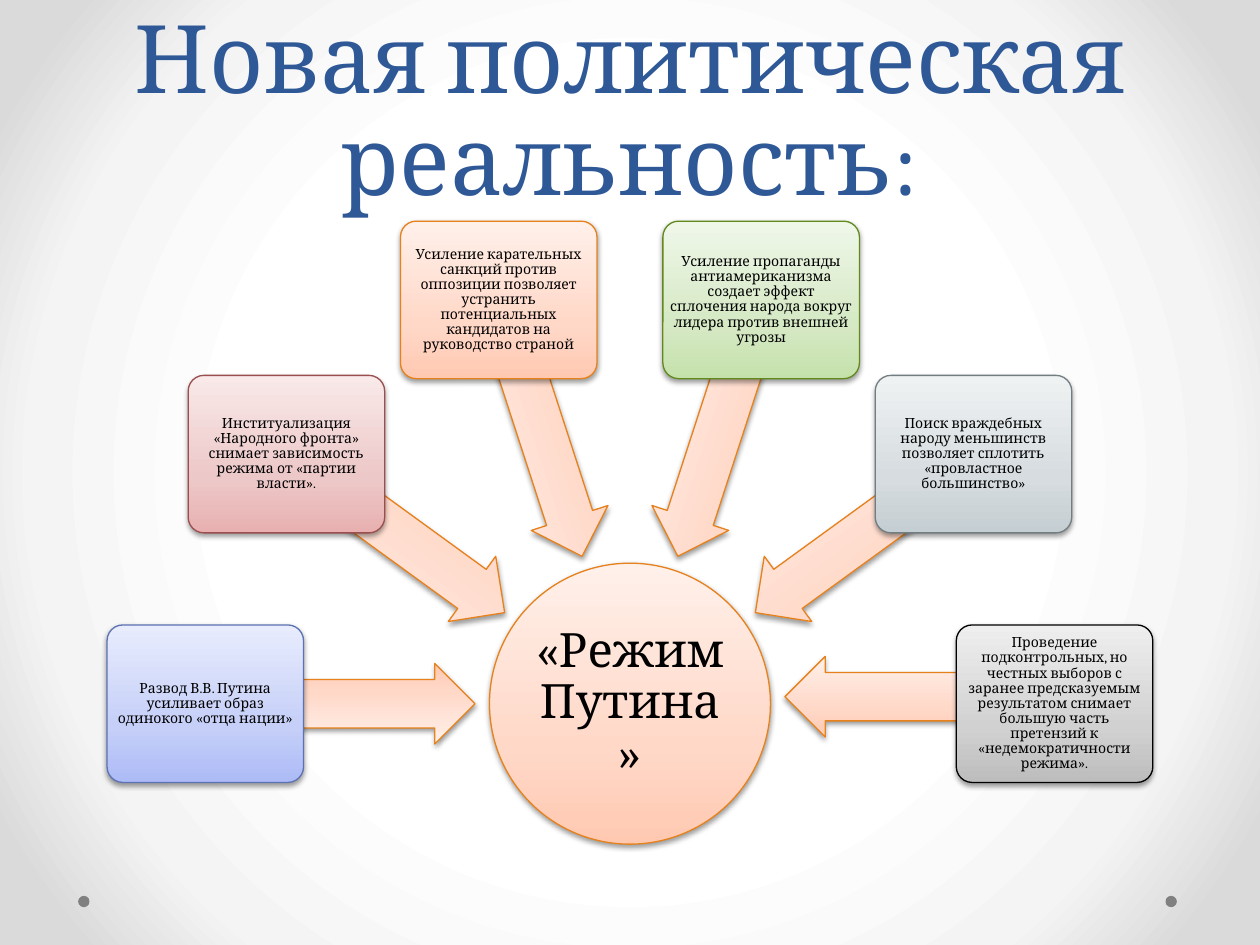
"""Build a slide where six political trends point at one central regime."""
from math import cos, radians, sin

from lxml.etree import SubElement
from pptx import Presentation
from pptx.dml.color import RGBColor as Rgb
from pptx.enum.shapes import MSO_SHAPE as Kind
from pptx.enum.text import MSO_ANCHOR as Anchor, MSO_AUTO_SIZE as AutoSize, PP_ALIGN as Align
from pptx.oxml.ns import qn
from pptx.util import Inches, Pt

COLORS = {"title": "2F5897", "text": "000000", "dot": "808080"}
PALETTES = {
    "page": {50: "FFFFFF", 76: "F4F4F4", 92: "DADADA"},
    "blue": {0: "ADBBF6", 35: "C5CFF8", 100: "E8ECFD"},
    "red": {0: "E8B0B0", 35: "EDC8C8", 100: "F9E9E9"},
    "orange": {0: "FFC9B1", 35: "FFD8C8", 100: "FFF0EA"},
    "green": {0: "C5E1AB", 35: "D6E9C5", 100: "EFF7E9"},
    "steel": {0: "C5CED2", 35: "D6DCDF", 100: "EFF2F3"},
    "gray": {0: "BDBDBD", 35: "D1D1D1", 100: "EEEEEE"},
}
OUTLINES = {"blue": "5C72B2", "red": "9A4E4E", "orange": "E6811C",
            "green": "62891C", "steel": "727D82", "gray": "000000"}
TRENDS = [
    ("blue", "Развод В.В. Путина усиливает образ одинокого «отца нации»"),
    ("red", "Институализация «Народного фронта» снимает зависимость режима от «партии власти»."),
    ("orange", "Усиление карательных санкций против оппозиции позволяет устранить "
               "потенциальных кандидатов на руководство страной"),
    ("green", "Усиление пропаганды антиамериканизма создает эффект сплочения народа "
              "вокруг лидера против внешней угрозы"),
    ("steel", "Поиск враждебных народу меньшинств позволяет сплотить «провластное большинство»"),
    ("gray", "Проведение подконтрольных, но честных выборов с заранее предсказуемым результатом "
             "снимает большую часть претензий к «недемократичности режима»."),
]
MARGIN = Inches(0.02)
FRAME = {"word_wrap": True, "auto_size": AutoSize.NONE, "vertical_anchor": Anchor.MIDDLE,
         "margin_left": MARGIN, "margin_right": MARGIN,
         "margin_top": MARGIN, "margin_bottom": MARGIN}

deck = Presentation()
deck.slide_width, deck.slide_height = Inches(10), Inches(7.5)
column = deck.slide_width / 100
row = deck.slide_height / 75
slide = deck.slides.add_slide(deck.slide_layouts[5])


def set_gradient(fill, owner, palette):
    fill.gradient()
    gradient = owner.find(".//" + qn("a:gradFill"))
    for child in list(gradient):
        gradient.remove(child)
    gradient.set("rotWithShape", "1")
    stops = SubElement(gradient, qn("a:gsLst"))
    for position, color in PALETTES[palette].items():
        stop = SubElement(stops, qn("a:gs"), pos=str(position * 1000))
        SubElement(stop, qn("a:srgbClr"), val=color)
    if palette == "page":
        circle = SubElement(gradient, qn("a:path"), path="circle")
        SubElement(circle, qn("a:fillToRect"), l="50000", t="50000", r="50000", b="50000")
    else:
        SubElement(gradient, qn("a:lin"), ang="16200000", scaled="0")


def add_part(kind, center_x, center_y, width, height, palette, text="", size=8):
    part = slide.shapes.add_shape(
        kind, round((center_x - width / 2) * column), round((center_y - height / 2) * row),
        round(width * column), round(height * row))
    set_gradient(part.fill, part._element.spPr, palette)
    part.line.color.rgb = Rgb.from_string(OUTLINES[palette])
    part.line.width = Pt(0.75)
    part.shadow.inherit = False
    effects = part._element.spPr.find(qn("a:effectLst"))
    shadow = SubElement(effects, qn("a:outerShdw"), blurRad=str(Pt(3.1)), dist=str(Pt(1.6)),
                        dir="5400000", rotWithShape="0")
    tint = SubElement(shadow, qn("a:srgbClr"), val="000000")
    SubElement(tint, qn("a:alpha"), val="38000")
    if text:
        for name, value in FRAME.items():
            setattr(part.text_frame, name, value)
        paragraph = part.text_frame.paragraphs[0]
        paragraph.text = text
        paragraph.alignment, paragraph.line_spacing = Align.CENTER, 0.9
        paragraph.font.name, paragraph.font.size = "Cambria", Pt(size)
        paragraph.font.color.rgb = Rgb.from_string(COLORS["text"])
    return part


set_gradient(slide.background.fill, slide._element, "page")

for dot_column in (92.5, 6.2):
    dot = slide.shapes.add_shape(Kind.OVAL, round(dot_column * column), round(71.1 * row),
                                 round(0.9 * column), round(0.9 * row))
    dot.fill.solid()
    dot.fill.fore_color.rgb = Rgb.from_string(COLORS["dot"])
    dot.line.fill.background()
    dot.shadow.inherit = False

title = slide.shapes.title
title.left, title.top = round(5 * column), 0
title.width, title.height = round(90 * column), round(17.5 * row)
title.text_frame.auto_size = AutoSize.NONE
title.text_frame.vertical_anchor = Anchor.BOTTOM
heading = title.text_frame.paragraphs[0]
heading.text = "Новая политическая реальность:"
heading.alignment, heading.line_spacing = Align.CENTER, Pt(58)
heading.font.name, heading.font.size = "Cambria", Pt(54)
heading.font.color.rgb = Rgb.from_string(COLORS["title"])

hub_x, hub_y = 50, 55.85
box_radius, arrow_radius = 33.7, 23
add_part(Kind.OVAL, hub_x, hub_y, 22.3, 22.3, "orange", "«Режим Путина»", 27)

step = 180 / (len(TRENDS) - 1)
for index, (palette, text) in enumerate(TRENDS):
    angle = radians(180 - step * index)
    lift = 0.55 if index == len(TRENDS) - 1 else 0
    arrow = add_part(Kind.LEFT_ARROW, hub_x + arrow_radius * cos(angle),
                     hub_y - arrow_radius * sin(angle) - lift, 21.4, 6.4, "orange")
    arrow.adjustments[0], arrow.adjustments[1] = 0.6, 0.5
    arrow.rotation = (180 + step * index) % 360
    box = add_part(Kind.ROUNDED_RECTANGLE, hub_x + box_radius * cos(angle),
                   hub_y - box_radius * sin(angle), 15.6, 12.5, palette, text)
    box.adjustments[0] = 0.1

deck.save("out.pptx")
